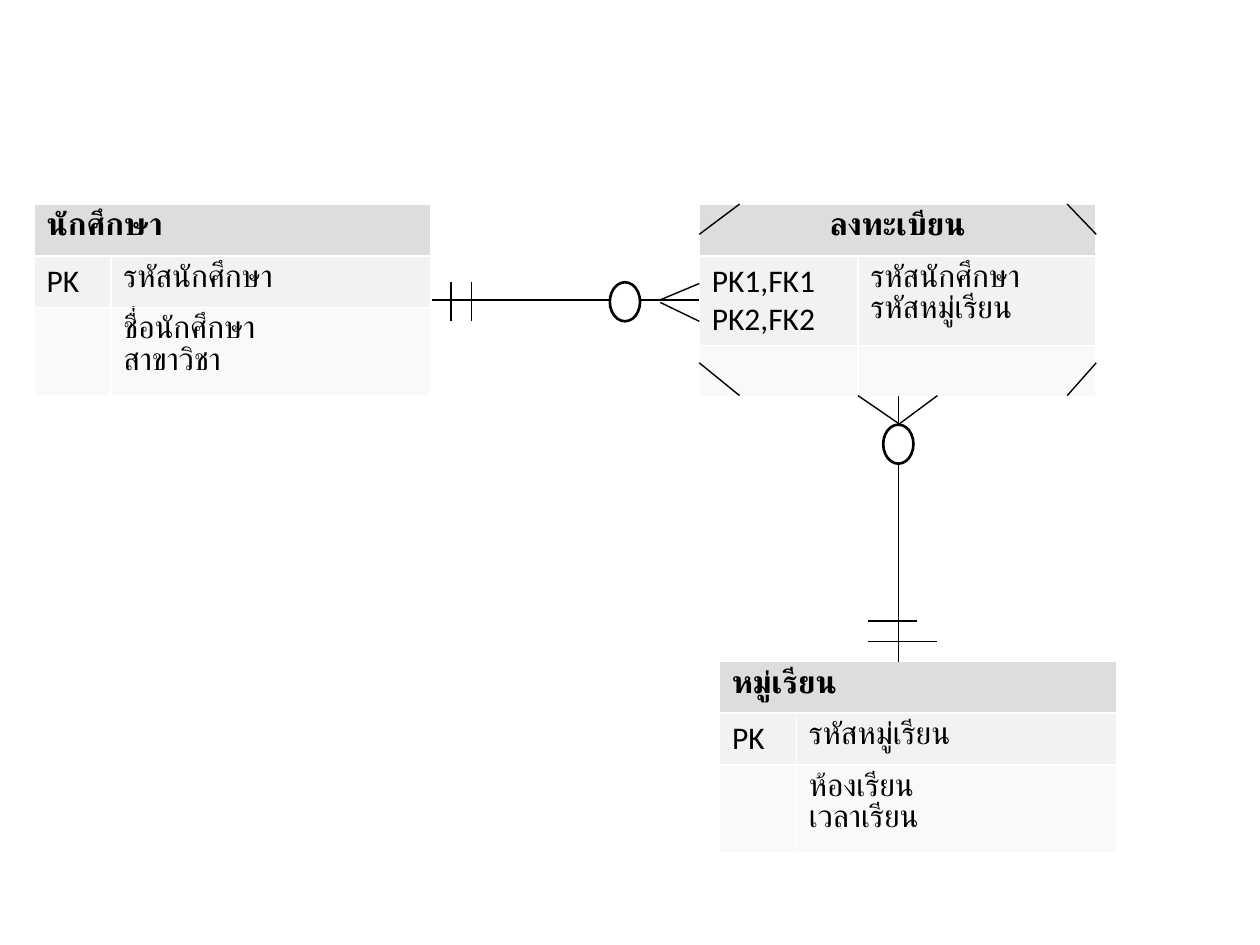
from typing import NamedTuple

from lxml.etree import SubElement
from pptx import Presentation
from pptx.dml.color import RGBColor
from pptx.enum.lang import MSO_LANGUAGE_ID as Lang
from pptx.enum.shapes import MSO_CONNECTOR as Conn, MSO_SHAPE as Shape
from pptx.enum.text import PP_ALIGN as Align
from pptx.oxml.ns import qn
from pptx.util import Pt

PX = 9144  # EMU per px, 100 px to the inch
BLACK = RGBColor(0x00, 0x00, 0x00)
WHITE = RGBColor(0xFF, 0xFF, 0xFF)
ROW_FILLS = (RGBColor(0xDD, 0xDD, 0xDD), RGBColor(0xF2, 0xF2, 0xF2),
             RGBColor(0xF9, 0xF9, 0xF9))
FONT = "Calibri"


class Entity(NamedTuple):
    x: int
    y: int
    cols: tuple[int, int]
    rows: tuple[int, int, int]
    title: str
    align: Align
    body: tuple  # two rows of two cells, each a tuple of lines


class Line(NamedTuple):
    x1: int
    y1: int
    x2: int
    y2: int


class Circle(NamedTuple):
    x: int
    y: int


KEY_COLS, KEY_ROWS = (61, 254), (41, 41, 70)
ENTITIES = (
    Entity(27, 162, KEY_COLS, KEY_ROWS, "นักศึกษา", Align.LEFT,
           ((("PK",), ("รหัสนักศึกษา",)),
            ((), ("ชื่อนักศึกษา", "สาขาวิชา")))),
    Entity(555, 162, (126, 189), (41, 70, 41), "ลงทะเบียน", Align.CENTER,
           ((("PK1,FK1", "PK2,FK2"), ("รหัสนักศึกษา", "รหัสหมู่เรียน")),
            ((), ()))),
    Entity(571, 525, KEY_COLS, KEY_ROWS, "หมู่เรียน", Align.LEFT,
           ((("PK",), ("รหัสหมู่เรียน",)),
            ((), ("ห้องเรียน", "เวลาเรียน")))),
)
LINES = (
    # Student to enrolment: link, "exactly one" bars, crow's foot
    Line(343, 238, 555, 238),
    Line(358, 224, 358, 255),
    Line(374, 224, 374, 255),
    Line(524, 238, 555, 225),
    Line(524, 240, 555, 255),
    # Class group to enrolment: link, bars, crow's foot
    Line(713, 525, 713, 314),
    Line(689, 509, 744, 509),
    Line(689, 493, 728, 493),
    Line(681, 314, 713, 336),
    Line(713, 337, 744, 314),
    # Cut corners of the associative entity
    Line(555, 186, 587, 162),
    Line(847, 162, 870, 186),
    Line(555, 288, 587, 314),
    Line(847, 314, 870, 288),
)
CIRCLES = (Circle(484, 224), Circle(701, 337))
CIRCLE_W, CIRCLE_H = 24, 31


def write_cell(cell, lines: tuple, bold: bool = False,
               align: Align = Align.LEFT) -> None:
    tf = cell.text_frame
    for i, text in enumerate(lines):
        p = tf.add_paragraph() if i else tf.paragraphs[0]
        p.alignment = align
        r = p.add_run()
        r.text = text
        r.font.name, r.font.size, r.font.bold = FONT, Pt(18), bold
        r.font.color.rgb = BLACK
        r.font.language_id = Lang.THAI


def draw_entity(shapes, e: Entity) -> None:
    frame = shapes.add_table(3, 2, e.x * PX, e.y * PX,
                             sum(e.cols) * PX, sum(e.rows) * PX)
    table = frame.table
    for col, width in zip(table.columns, e.cols):
        col.width = width * PX
    for row, height, fill in zip(table.rows, e.rows, ROW_FILLS):
        row.height = height * PX
        for cell in row.cells:
            cell.fill.solid()
            cell.fill.fore_color.rgb = fill
    table.cell(0, 0).merge(table.cell(0, 1))
    write_cell(table.cell(0, 0), (e.title,), True, e.align)
    for i, row in enumerate(e.body, 1):
        for j, lines in enumerate(row):
            write_cell(table.cell(i, j), lines)


def draw_line(shapes, ln: Line) -> None:
    s = shapes.add_connector(Conn.STRAIGHT, *(v * PX for v in ln))
    s.line.color.rgb = BLACK
    s.line.width = Pt(0.79)
    SubElement(s._element.spPr, qn("a:effectLst"))


def draw_circle(shapes, c: Circle) -> None:
    s = shapes.add_shape(Shape.OVAL, c.x * PX, c.y * PX,
                         CIRCLE_W * PX, CIRCLE_H * PX)
    s.shadow.inherit = False
    s.fill.solid()
    s.fill.fore_color.rgb = WHITE
    s.line.color.rgb = BLACK
    s.line.width = Pt(1.5)


def main() -> None:
    prs = Presentation()
    prs.slide_width, prs.slide_height = 1000 * PX, 750 * PX
    shapes = prs.slides.add_slide(prs.slide_layouts[6]).shapes
    for e in ENTITIES:
        draw_entity(shapes, e)
    for ln in LINES:
        draw_line(shapes, ln)
    # Circles go last so that they cover the links
    for c in CIRCLES:
        draw_circle(shapes, c)
    prs.save("out.pptx")


if __name__ == "__main__":
    main()
